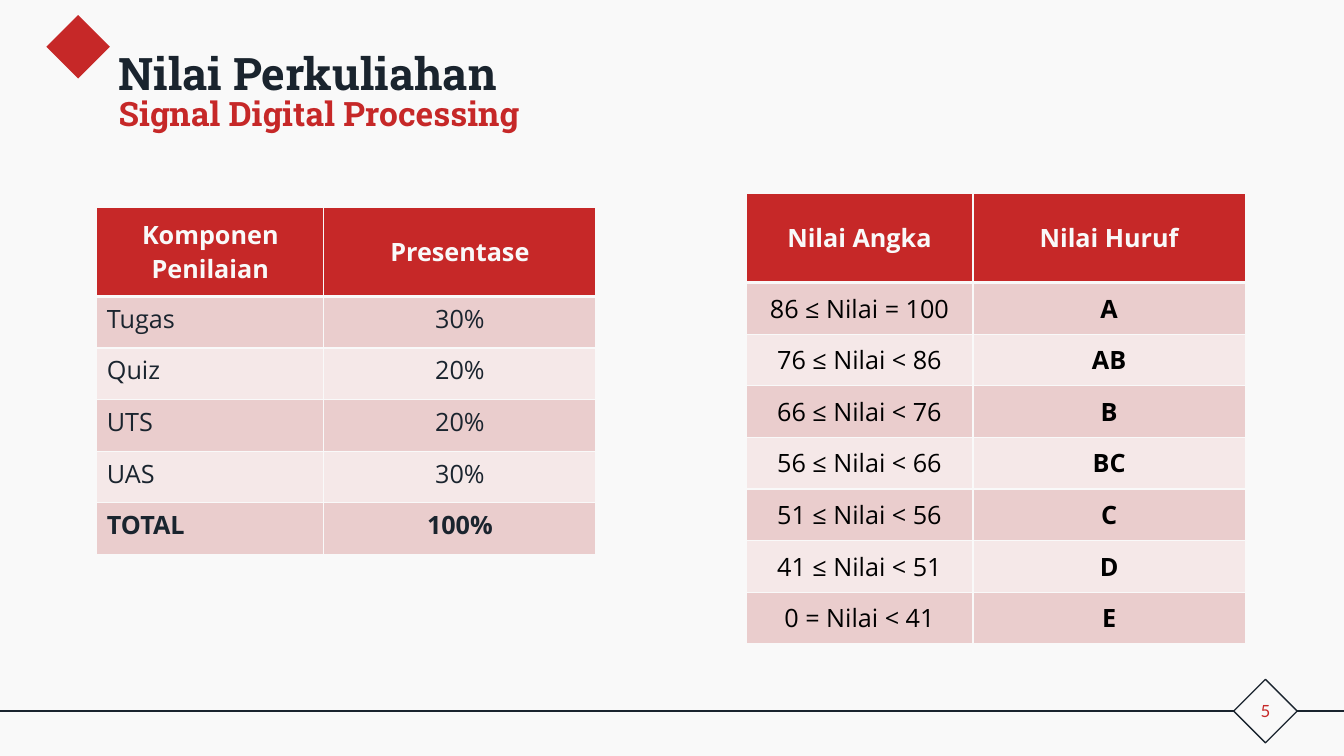
from dataclasses import dataclass

from lxml.etree import SubElement
from pptx import Presentation
from pptx.dml.color import RGBColor
from pptx.enum.shapes import MSO_CONNECTOR, MSO_SHAPE
from pptx.enum.text import MSO_ANCHOR, MSO_AUTO_SIZE, PP_ALIGN
from pptx.oxml.ns import qn
from pptx.util import Cm, Pt

PAPER, INK, RED, BLACK = "F9F9F9", "1A242E", "C62828", "000000"
BANDS = ("EACDCD", "F5E8E8")
HEADING, BODY, NUMBER = "Roboto Slab", "Open Sans", "Lato"
WIDTH, HEIGHT = 33.87, 19.05
HEADER_HEIGHT, ROW_HEIGHT = 2.24, 1.3
COLUMNS = (5.72, 6.86)
DIAMOND, FOOTER_Y, PAGE_LEFT = 1.6, 17.92, 31.09


@dataclass
class Heading:
    text: str
    size: float
    color: str
    top: float
    height: float


@dataclass
class ScoreTable:
    left: float
    top: float
    rows: list[tuple[str, str]]
    color: str
    label_align: PP_ALIGN
    anchor: MSO_ANCHOR
    bold_cells: set[tuple[int, int]]


def rgb(color: str) -> RGBColor:
    return RGBColor.from_string(color)


def style(tf, font: str, size: float, color: str, bold: bool, align: PP_ALIGN) -> None:
    for p in tf.paragraphs:
        p.alignment = align
        for r in p.runs:
            r.font.name, r.font.size, r.font.bold = font, Pt(size), bold
            r.font.color.rgb = rgb(color)


def set_heading(sp, heading: Heading) -> None:
    sp.left, sp.top = Cm(2.74), Cm(heading.top)
    sp.width, sp.height = Cm(31.12), Cm(heading.height)
    tf = sp.text_frame
    tf.text = heading.text
    tf.word_wrap, tf.auto_size = True, MSO_AUTO_SIZE.NONE
    tf.vertical_anchor = MSO_ANCHOR.TOP
    p = tf.paragraphs[0]
    p.line_spacing, p.space_before = 0.9, Pt(10)
    style(tf, HEADING, heading.size, heading.color, True, PP_ALIGN.LEFT)


def add_diamond(slide, left: float, top: float):
    sp = slide.shapes.add_shape(MSO_SHAPE.DIAMOND, Cm(left), Cm(top), Cm(DIAMOND), Cm(DIAMOND))
    sp.shadow.inherit = False
    return sp


def add_rule(slide, start: float, end: float) -> None:
    line = slide.shapes.add_connector(
        MSO_CONNECTOR.STRAIGHT, Cm(start), Cm(FOOTER_Y), Cm(end), Cm(FOOTER_Y))
    line.line.color.rgb = rgb(INK)
    line.line.width = Pt(1)
    SubElement(line._element.spPr, qn("a:effectLst"))


def set_borders(cell, top: float, bottom: float) -> None:
    tcPr = cell._tc.get_or_add_tcPr()
    for side, width in (("L", 1), ("R", 1), ("T", top), ("B", bottom)):
        ln = SubElement(tcPr, qn(f"a:ln{side}"), w=str(Pt(width)))
        SubElement(SubElement(ln, qn("a:solidFill")), qn("a:srgbClr"), val=PAPER)


def add_score_table(slide, spec: ScoreTable) -> None:
    heights = [HEADER_HEIGHT] + [ROW_HEIGHT] * (len(spec.rows) - 1)
    table = slide.shapes.add_table(
        len(spec.rows), len(COLUMNS), Cm(spec.left), Cm(spec.top),
        Cm(sum(COLUMNS)), Cm(sum(heights))).table
    for column, width in zip(table.columns, COLUMNS):
        column.width = Cm(width)
    for i, (values, height) in enumerate(zip(spec.rows, heights)):
        table.rows[i].height = Cm(height)
        header = i == 0
        for j, value in enumerate(values):
            cell = table.cell(i, j)
            cell.text_frame.text = value
            cell.vertical_anchor = MSO_ANCHOR.MIDDLE if header else spec.anchor
            set_borders(cell, 3 if i == 1 else 1, 3 if header else 1)
            cell.fill.solid()
            cell.fill.fore_color.rgb = rgb(RED if header else BANDS[(i - 1) % 2])
            align = PP_ALIGN.CENTER if header or j else spec.label_align
            style(cell.text_frame, BODY, 18, PAPER if header else spec.color,
                  header or (i, j) in spec.bold_cells, align)


WEIGHTS = [
    ("Komponen Penilaian", "Presentase"),
    ("Tugas", "30%"),
    ("Quiz", "20%"),
    ("UTS", "20%"),
    ("UAS", "30%"),
    ("TOTAL", "100%"),
]
GRADES = [
    ("Nilai Angka", "Nilai Huruf"),
    ("86 ≤ Nilai = 100", "A"),
    ("76 ≤ Nilai < 86", "AB"),
    ("66 ≤ Nilai < 76", "B"),
    ("56 ≤ Nilai < 66", "BC"),
    ("51 ≤ Nilai < 56", "C"),
    ("41 ≤ Nilai < 51", "D"),
    ("0 = Nilai < 41", "E"),
]
TABLES = [
    ScoreTable(2.44, 5.23, WEIGHTS, INK, PP_ALIGN.LEFT, MSO_ANCHOR.TOP,
               {(len(WEIGHTS) - 1, j) for j in range(2)}),
    ScoreTable(18.8, 4.88, GRADES, BLACK, PP_ALIGN.CENTER, MSO_ANCHOR.MIDDLE,
               {(i, 1) for i in range(len(GRADES))}),
]

prs = Presentation()
prs.slide_width, prs.slide_height = Cm(WIDTH), Cm(HEIGHT)
slide = prs.slides.add_slide(prs.slide_layouts[5])
slide.background.fill.solid()
slide.background.fill.fore_color.rgb = rgb(PAPER)

page = add_diamond(slide, PAGE_LEFT, FOOTER_Y - DIAMOND / 2)
page.fill.background()
page.line.color.rgb = rgb(INK)
page.line.width = Pt(1)
tf = page.text_frame
tf.text = "5"
tf.margin_left = tf.margin_right = tf.margin_top = tf.margin_bottom = 0
tf.vertical_anchor = MSO_ANCHOR.MIDDLE
style(tf, NUMBER, 12, RED, False, PP_ALIGN.CENTER)
add_rule(slide, 0, PAGE_LEFT)
add_rule(slide, PAGE_LEFT + DIAMOND, WIDTH)

accent = add_diamond(slide, 1.17, 0.38)
accent.fill.solid()
accent.fill.fore_color.rgb = rgb(RED)
accent.line.fill.background()

set_heading(slide.shapes.title, Heading("Nilai Perkuliahan", 32, INK, 1.17, 2.54))
subtitle = slide.shapes.add_textbox(0, 0, 0, 0)
set_heading(subtitle, Heading("Signal Digital Processing", 24, RED, 2.34, 1.35))

for score_table in TABLES:
    add_score_table(slide, score_table)

prs.save("out.pptx")
